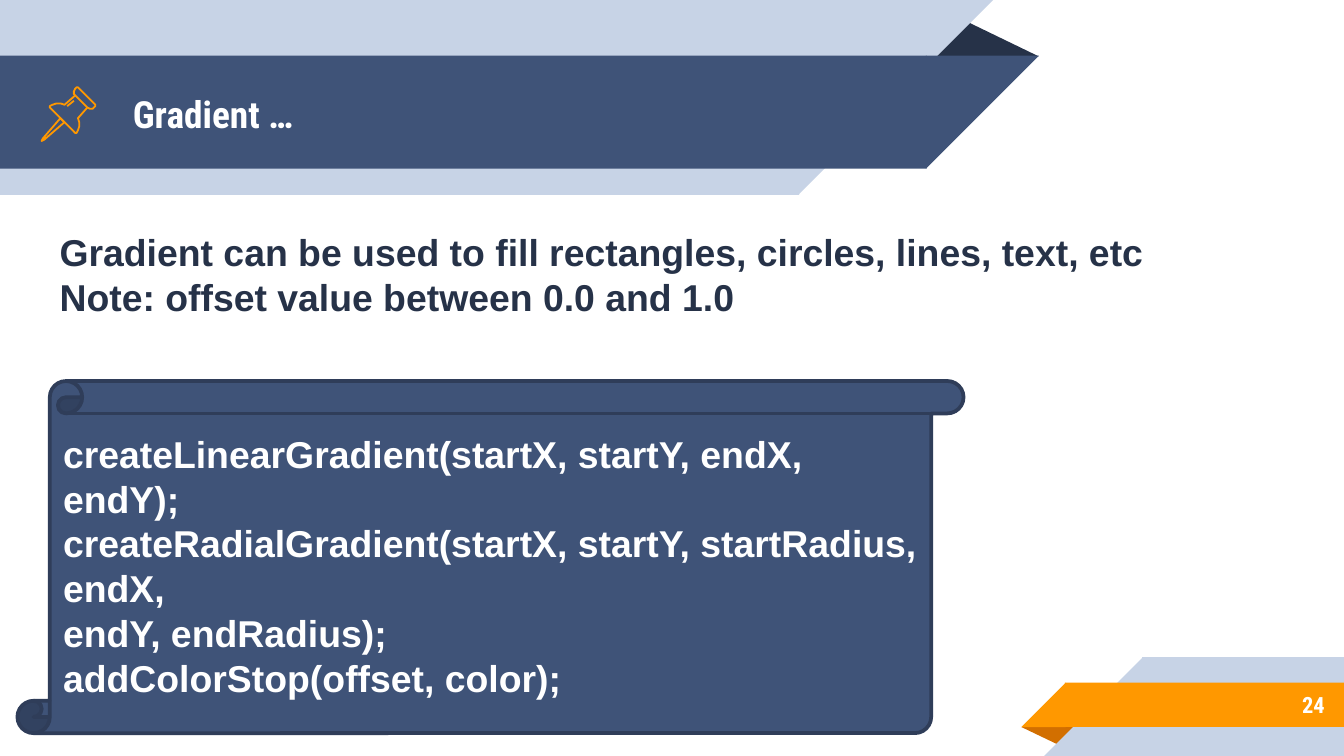
"""Build the slide on filling canvas shapes with gradients."""
from pptx import Presentation
from pptx import util as u
from pptx.dml.color import RGBColor
from pptx.enum import shapes, text

NAVY = RGBColor(0x3F, 0x53, 0x78)
DARK = RGBColor(0x26, 0x32, 0x48)
EDGE = RGBColor(0x2F, 0x3D, 0x59)
PALE = RGBColor(0xC7, 0xD3, 0xE6)
ORANGE = RGBColor(0xFF, 0x98, 0x00)
RUST = RGBColor(0xD2, 0x6F, 0x00)
WHITE = RGBColor(0xFF, 0xFF, 0xFF)
PRESET = shapes.MSO_SHAPE

deck = Presentation()
deck.slide_width = u.Inches(10)
deck.slide_height = deck.slide_width * 9 // 16
COL = deck.slide_width / 100
ROW = deck.slide_height / 56.25
OVERLAP = 0.06
slide = deck.slides.add_slide(deck.slide_layouts[6])


def add_part(preset, left, top, width, height, color, flip=None):
    part = slide.shapes.add_shape(preset, *map(round, (left * COL, top * ROW, width * COL, height * ROW)))
    part.shadow.inherit = False
    part.fill.solid()
    part.fill.fore_color.rgb = color
    part.line.fill.background()
    if flip:
        part._element.spPr.xfrm.set(flip, "1")
    return part


def write(frame, words, size, font, color, insets, anchor, align=text.PP_ALIGN.LEFT):
    frame.text = words
    frame.word_wrap = True
    frame.vertical_anchor = anchor
    frame.margin_left, frame.margin_top, frame.margin_right, frame.margin_bottom = map(u.Inches, insets)
    for paragraph in frame.paragraphs:
        paragraph.alignment = align
        for run in paragraph.runs:
            run.font.size, run.font.name, run.font.bold = u.Pt(size), font, True
            run.font.color.rgb = color


footer_fold = add_part(PRESET.ISOSCELES_TRIANGLE, 76, 54.1, 4.3, 1.4, RUST)
footer_fold.rotation = 180
footer_fold.adjustments[0] = 0.32
for left, top, slope, color in ((77.7, 48.9, 7.35, PALE), (76, 50.8, 3.3, ORANGE)):
    start = left + slope - OVERLAP
    add_part(PRESET.RECTANGLE, start, top, 100 - start, slope, color)
    add_part(PRESET.RIGHT_TRIANGLE, left, top, slope, slope, color, "flipH")

header_fold = add_part(PRESET.ISOSCELES_TRIANGLE, 68.8, 1.4, 8.5, 2.8, DARK)
header_fold.adjustments[0] = 0.32
for width, top, slope, color in ((59.4, 0, 14.5, PALE), (68.9, 4.15, 8.4, NAVY)):
    add_part(PRESET.RECTANGLE, 0, top, width + OVERLAP, slope, color)
    add_part(PRESET.RIGHT_TRIANGLE, width, top, slope, slope, color, "flipV")

pin_outlines = (
    (True, ((45, 88), (32, 103), (31, 105), (33, 104), (48, 91))),
    (True, ((56, 71), (65, 80), (67, 81), (69, 81), (71, 79), (71, 78),
            (58, 65), (57, 65), (56, 66), (55, 68), (55, 70))),
    (False, ((56, 71), (48, 78), (45, 77), (42, 77), (39, 78), (37, 79),
             (37, 80), (38, 81), (55, 98), (56, 99), (57, 99), (58, 97),
             (59, 94), (59, 91), (58, 88), (65, 80))),
    (False, ((50, 79), (55, 75))),
)
for closed, points in pin_outlines:
    path_builder = slide.shapes.build_freeform(*points[0], scale=COL / 10)
    path_builder.add_line_segments(points[1:], close=closed)
    outline = path_builder.convert_to_shape()
    outline.shadow.inherit = False
    outline.fill.background()
    outline.line.color.rgb = ORANGE
    outline.line.width = u.Pt(0.96)

MIDDLE, TOP = text.MSO_ANCHOR.MIDDLE, text.MSO_ANCHOR.TOP
EVEN = (0.1, 0.1, 0.1, 0.1)
LEFT, RIGHT = text.PP_ALIGN.LEFT, text.PP_ALIGN.RIGHT
labels = (
    ((8.9, 4.25, 60.1, 8.4), "Gradient …", 20, "Roboto Condensed", WHITE, EVEN, MIDDLE, LEFT),
    ((83.25, 50.7, 16.3, 3.5), "24", 12, "Roboto Condensed", WHITE, EVEN, MIDDLE, RIGHT),
    ((3.45, 16.05, 94.3, 10), "Gradient can be used to fill rectangles, circles, lines, text, etc\n"
     "Note: offset value between 0.0 and 1.0", 20, "Arial", DARK, EVEN, TOP, LEFT),
)
for (left, top, width, height), *wording in labels:
    label = slide.shapes.add_textbox(*map(round, (left * COL, top * ROW, width * COL, height * ROW)))
    write(label.text_frame, *wording)

code_scroll = add_part(PRESET.VERTICAL_SCROLL, 1.3, 28.35, 70.4, 26.2, NAVY)
code_scroll.adjustments[0] = 0.092
code_scroll.line.color.rgb = EDGE
code_scroll.line.width = u.Pt(2)
write(code_scroll.text_frame,
      "createLinearGradient(startX, startY, endX, endY);\n"
      "createRadialGradient(startX, startY, startRadius, endX,\n"
      "endY, endRadius);\naddColorStop(offset, color);",
      20, "Arial", WHITE, (0.1, 0.13, 0.1, 0.05), TOP)

deck.save("out.pptx")
